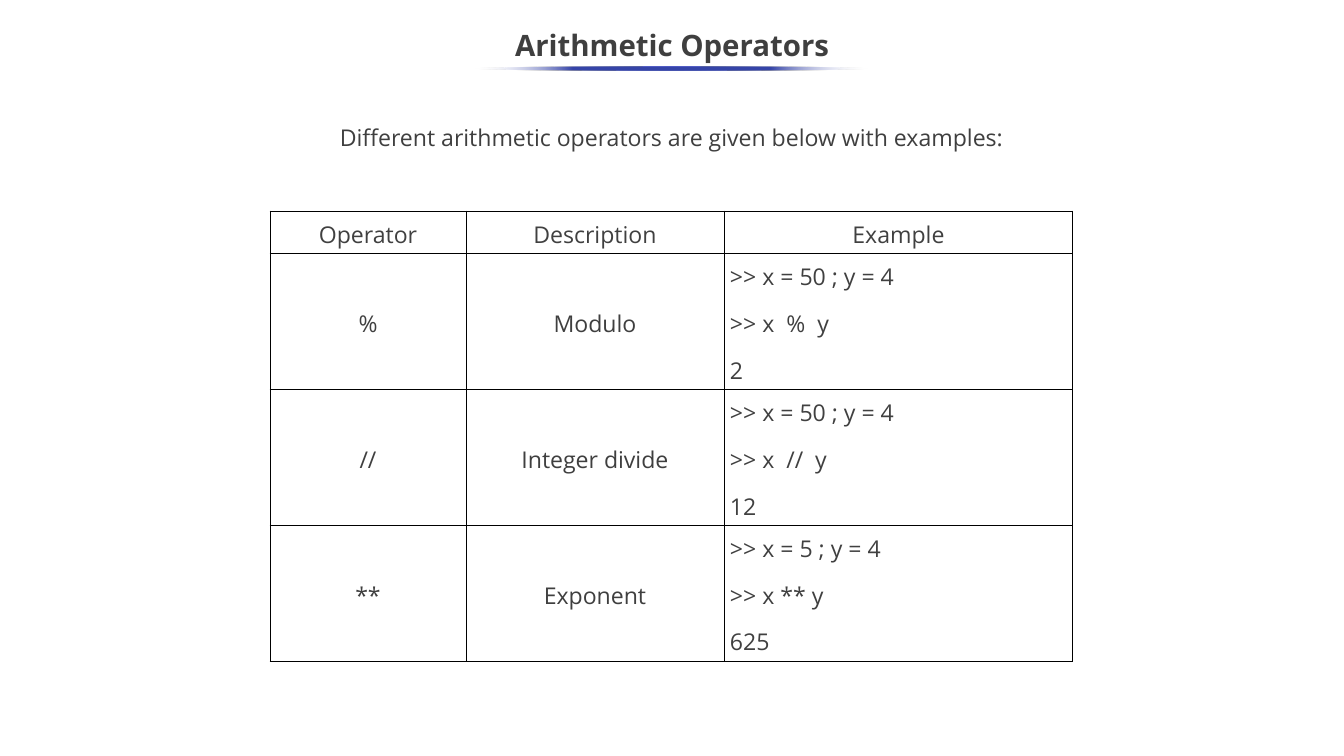
import pptx
import pptx.dml.color
import pptx.enum.shapes
import pptx.enum.text
import pptx.oxml
import pptx.oxml.ns
import pptx.util

TITLE = "Arithmetic Operators"
INTRO = "Different arithmetic operators are given below with examples:"
HEADINGS = ["Operator", "Description", "Example"]
OPERATORS = [
    ("%", "Modulo", [">> x = 50 ; y = 4", ">> x  %  y", "2"]),
    ("//", "Integer divide", [">> x = 50 ; y = 4", ">> x  //  y", "12"]),
    ("**", "Exponent", [">> x = 5 ; y = 4", ">> x ** y", "625"]),
]

THEME = {
    "font": "Open Sans",
    "title_size": 28,
    "body_size": 22,
    "text": "3F3F3F",
    "table_text": "404040",
    "border": "000000",
    "accent": "3645A9",
    "fade": "FFFFFF",
}
PAGE_SIZE = (1344, 756)
TITLE_AREA = (-1, 18, 1346, 57)
RULE_AREA = (475, 67, 393, 3)
INTRO_AREA = (285, 113, 773, 49)
TABLE_ORIGIN = (270, 211)
COLUMN_WIDTHS = [196, 258, 349]
HEADING_HEIGHT, OPERATOR_HEIGHT = 42, 136
CELL_MARGINS = (6, 3)
RULE_STOPS = [("fade", 0), ("accent", 100), ("accent", 100), ("accent", 100), ("fade", 0)]

EMU_PER_PX = 914400 / 75.6
ALIGN = pptx.enum.text.PP_ALIGN
MIDDLE = pptx.enum.text.MSO_ANCHOR.MIDDLE
SHAPES = pptx.enum.shapes.MSO_SHAPE
NAMESPACE = pptx.oxml.ns.nsdecls("a")


def px(*lengths):
    return [pptx.util.Emu(round(length * EMU_PER_PX)) for length in lengths]


def write(frame, lines, size="body_size", color="text", bold=False,
          align=ALIGN.CENTER, spacing=None):
    frame.word_wrap = True
    frame.text = "\n".join(lines)
    for index, para in enumerate(frame.paragraphs):
        para.alignment = align
        para.line_spacing = spacing
        if index:
            para.space_before = pptx.util.Pt(10)
        for span in para.runs:
            span.font.name = THEME["font"]
            span.font.size = pptx.util.Pt(THEME[size])
            span.font.bold = bold
            span.font.color.rgb = pptx.dml.color.RGBColor.from_string(THEME[color])


def add_plain_shape(page, kind, area):
    shape = page.shapes.add_shape(kind, *px(*area))
    shape.shadow.inherit = False
    shape.fill.background()
    shape.line.fill.background()
    return shape


def add_rule(page):
    rule = add_plain_shape(page, SHAPES.OVAL, RULE_AREA)
    step = 100000 // (len(RULE_STOPS) - 1)
    stops = "".join(
        f'<a:gs pos="{index * step}"><a:srgbClr val="{THEME[name]}">'
        f'<a:alpha val="{opacity * 1000}"/></a:srgbClr></a:gs>'
        for index, (name, opacity) in enumerate(RULE_STOPS)
    )
    gradient = pptx.oxml.parse_xml(
        f'<a:gradFill {NAMESPACE} rotWithShape="1"><a:gsLst>{stops}</a:gsLst>'
        '<a:lin ang="10800000" scaled="0"/></a:gradFill>'
    )
    properties = rule.element.spPr
    properties.replace(properties.find(pptx.oxml.ns.qn("a:noFill")), gradient)


def add_borders(cell):
    properties = cell._tc.get_or_add_tcPr()
    for index, side in enumerate("LRTB"):
        properties.insert(index, pptx.oxml.parse_xml(
            f'<a:ln{side} {NAMESPACE} w="12700"><a:solidFill>'
            f'<a:srgbClr val="{THEME["border"]}"/></a:solidFill></a:ln{side}>'
        ))


def fill_cell(cell, lines, color, align):
    cell.fill.background()
    cell.vertical_anchor = MIDDLE
    side, edge = px(*CELL_MARGINS)
    cell.margin_left = cell.margin_right = side
    cell.margin_top = cell.margin_bottom = edge
    write(cell.text_frame, lines, color=color, align=align, spacing=1.15)
    add_borders(cell)


def add_operator_table(page):
    heights = [HEADING_HEIGHT] + [OPERATOR_HEIGHT] * len(OPERATORS)
    area = (*TABLE_ORIGIN, sum(COLUMN_WIDTHS), sum(heights))
    table = page.shapes.add_table(len(heights), len(COLUMN_WIDTHS), *px(*area)).table
    table.first_row = table.horz_banding = False
    for column, width in zip(table.columns, px(*COLUMN_WIDTHS)):
        column.width = width
    for row, height in zip(table.rows, px(*heights)):
        row.height = height
    for column, heading in enumerate(HEADINGS):
        fill_cell(table.cell(0, column), [heading], "table_text", ALIGN.CENTER)
    for row, (symbol, description, example) in enumerate(OPERATORS, start=1):
        fill_cell(table.cell(row, 0), [symbol], "text", ALIGN.CENTER)
        fill_cell(table.cell(row, 1), [description], "text", ALIGN.CENTER)
        fill_cell(table.cell(row, 2), example, "table_text", ALIGN.LEFT)


def main():
    deck = pptx.Presentation()
    deck.slide_width, deck.slide_height = px(*PAGE_SIZE)
    page = deck.slides.add_slide(deck.slide_layouts[6])

    title = page.shapes.add_textbox(*px(*TITLE_AREA))
    title.text_frame.vertical_anchor = MIDDLE
    write(title.text_frame, [TITLE], size="title_size", bold=True, spacing=0.9)

    intro = add_plain_shape(page, SHAPES.ROUNDED_RECTANGLE, INTRO_AREA)
    intro.text_frame.vertical_anchor = MIDDLE
    write(intro.text_frame, [INTRO])

    add_operator_table(page)
    add_rule(page)
    deck.save("out.pptx")


if __name__ == "__main__":
    main()
